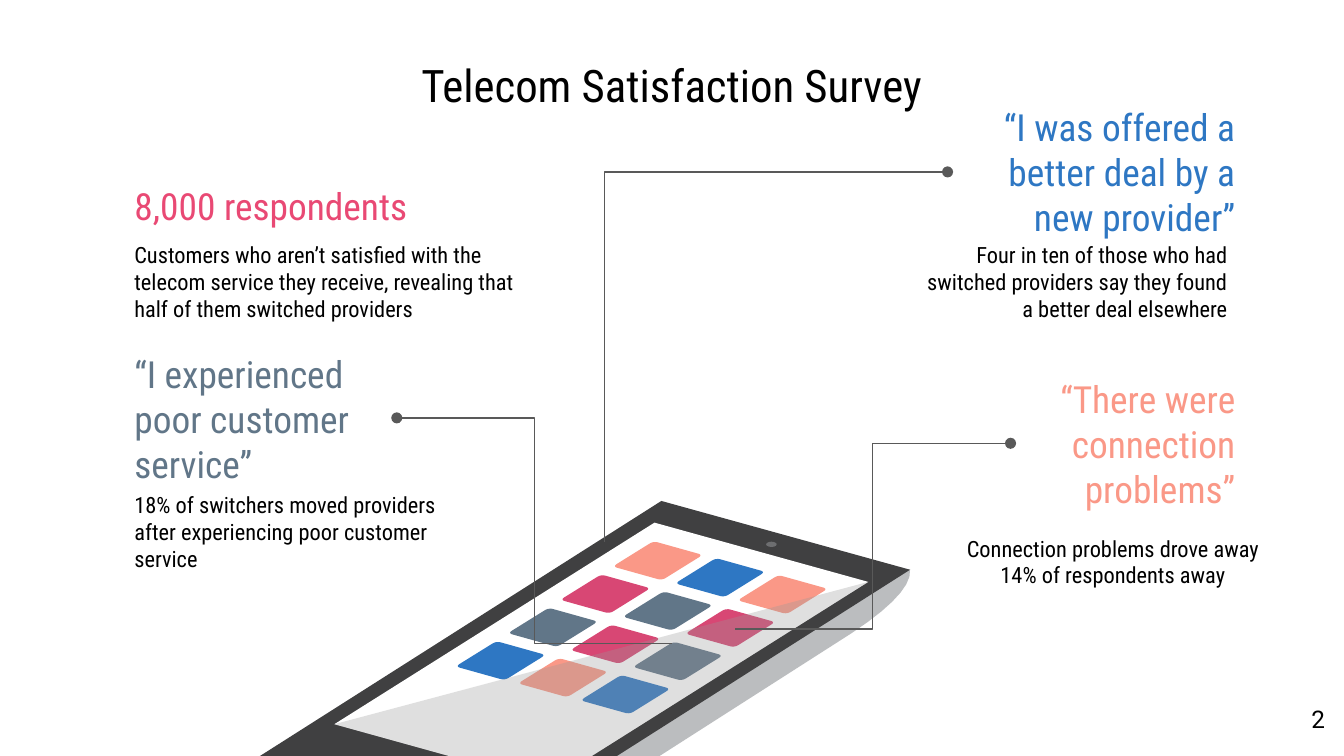
from dataclasses import dataclass

from lxml import etree
from pptx import Presentation
from pptx.dml.color import RGBColor
from pptx.enum.shapes import MSO_CONNECTOR, MSO_SHAPE
from pptx.enum.text import MSO_ANCHOR, MSO_AUTO_SIZE, PP_ALIGN
from pptx.oxml.ns import qn
from pptx.util import Cm, Pt

BLACK = RGBColor(0x00, 0x00, 0x00)
WHITE = RGBColor(0xFF, 0xFF, 0xFF)
PINK = RGBColor(0xE9, 0x49, 0x74)
ROSE = RGBColor(0xD8, 0x47, 0x74)
BLUE = RGBColor(0x2E, 0x77, 0xC3)
SLATE = RGBColor(0x61, 0x76, 0x88)
SALMON = RGBColor(0xFA, 0x98, 0x87)
CASE = RGBColor(0x40, 0x40, 0x41)
CASE_SIDE = RGBColor(0xBB, 0xBD, 0xBF)
CAMERA = RGBColor(0x6D, 0x6E, 0x70)
GLARE = RGBColor(0x99, 0x99, 0x99)
LINE = RGBColor(0x59, 0x59, 0x59)

LEFT, CENTER, RIGHT = PP_ALIGN.LEFT, PP_ALIGN.CENTER, PP_ALIGN.RIGHT
TOP, MIDDLE = MSO_ANCHOR.TOP, MSO_ANCHOR.MIDDLE
NO_AUTOFIT = MSO_AUTO_SIZE.NONE
ELBOW = MSO_CONNECTOR.ELBOW
OVAL = MSO_SHAPE.OVAL
FONT = "Roboto Condensed"
TITLE_ONLY = 5


@dataclass
class Box:
    """An area on the slide, in centimetres."""
    left: float
    top: float
    width: float
    height: float

    def inside(self, left, top, width, height):
        return Box(self.left + left, self.top + top, width, height)

    def lengths(self):
        return [Cm(v) for v in (self.left, self.top, self.width, self.height)]


def write(shape, text, size, color, align, anchor=MIDDLE, font=FONT):
    frame = shape.text_frame
    frame.word_wrap = True
    frame.auto_size = NO_AUTOFIT
    frame.vertical_anchor = anchor
    paragraph = frame.paragraphs[0]
    paragraph.alignment = align
    run = paragraph.add_run()
    run.text = text
    run.font.size = Pt(size)
    run.font.name = font
    run.font.color.rgb = color


def add_text(slide, box, *style, **options):
    write(slide.shapes.add_textbox(*box.lengths()), *style, **options)


def paint(shape, color):
    shape.fill.solid()
    shape.fill.fore_color.rgb = color
    shape.line.fill.background()
    shape.shadow.inherit = False
    return shape


def add_outline(slide, box, points, color):
    """Draw a closed outline; its points count from the corner of the box."""
    corners = [(Cm(box.left + x), Cm(box.top + y)) for x, y in points]
    builder = slide.shapes.build_freeform(*corners[0], scale=1.0)
    builder.add_line_segments(corners[1:], close=True)
    return paint(builder.convert_to_shape(), color)


def between(start, end, share):
    return tuple(a + (b - a) * share for a, b in zip(start, end))


def curve(start, control, end, steps=8):
    """Points along a quadratic curve."""
    return [between(between(start, control, i / steps),
                    between(control, end, i / steps), i / steps)
            for i in range(steps + 1)]


def rounded(corners, cut=0.1):
    points = []
    for i, corner in enumerate(corners):
        before, after = corners[i - 1], corners[(i + 1) % len(corners)]
        points += curve(between(corner, before, cut), corner,
                        between(corner, after, cut))
    return points


def add_title(slide, box):
    title = slide.shapes.title
    title.left, title.top, title.width, title.height = box.lengths()
    write(title, "Telecom Satisfaction Survey", 24, BLACK, CENTER)


def add_phone(slide, box):
    # Case: thick side with a rounded corner, then the front
    right = (box.width, 1.3)
    side = [(7.8, 0.72), (0, 4.83), (3.79, 6.41), (5.41, 6.2), (10.85, 2.72)]
    side += curve((10.85, 2.72), (12.35, 1.8), right)
    add_outline(slide, box, side, CASE_SIDE)
    add_outline(slide, box, [(7.6, 0), (0, 4.83), (4.7, 6.13), right], CASE)

    # Screen and camera
    screen_top, screen_left = (7.47, 0.41), (1.42, 4.22)
    screen_bottom, screen_right = (5.46, 5.34), (11.51, 1.53)
    add_outline(slide, box,
                [screen_top, screen_left, screen_bottom, screen_right], WHITE)
    camera = box.inside(9.58, 0.77, 0.2, 0.1)
    paint(slide.shapes.add_shape(OVAL, *camera.lengths()), CAMERA)

    # App icons on a slanted grid
    icon = rounded([(0.72, -0.03), (1.65, 0.23), (0.88, 0.71), (-0.05, 0.45)])
    icon_rows = [(SALMON, BLUE, SALMON), (ROSE, SLATE, ROSE),
                 (SLATE, ROSE, SLATE), (BLUE, SALMON, BLUE)]
    for row, colors in enumerate(icon_rows):
        for column, color in enumerate(colors):
            cell = box.inside(6.73 + 1.18 * column - 0.99 * row,
                              0.79 + 0.32 * column + 0.63 * row, 1.6, 0.7)
            add_outline(slide, cell, icon, color)

    # Translucent glare over the lower half of the screen
    glare = add_outline(slide, box,
                        [screen_right, screen_left, screen_bottom], GLARE)
    color = glare.fill._xPr.find(qn("a:solidFill"))[0]
    etree.SubElement(color, qn("a:alpha"), val="31000")


def add_callout(slide, box, heading, color, caption, caption_box, align,
                caption_align):
    """Heading fills the box; the caption is offset from its corner."""
    add_text(slide, box.inside(*caption_box), caption, 12, BLACK, caption_align)
    add_text(slide, box, heading, 20, color, align)


def add_leader(slide, dot, end, preset="bentConnector3"):
    """Elbow line from a round dot beside a callout to the phone."""
    connector = slide.shapes.add_connector(
        ELBOW, *[Cm(value) for value in (*dot, *end)])
    connector.line.color.rgb = LINE
    connector.line.width = Pt(0.75)
    properties = connector._element.spPr
    properties.find(qn("a:prstGeom")).set("prst", preset)
    etree.SubElement(connector.line._get_or_add_ln(), qn("a:headEnd"),
                     type="oval")
    etree.SubElement(properties, qn("a:effectLst"))


def main():
    presentation = Presentation()
    presentation.slide_width, presentation.slide_height = Cm(25.4), Cm(14.29)
    slide = presentation.slides.add_slide(
        presentation.slide_layouts[TITLE_ONLY])

    add_title(slide, Box(5.9, 1.07, 13.59, 1.07))
    add_phone(slide, Box(4.9, 9.47, 12.3, 6.53))

    callouts = [
        (Box(2.29, 3.45, 6.91, 0.86), "8,000 respondents", PINK,
         "Customers who aren’t satisfied with the telecom service they "
         "receive, revealing that half of them switched providers",
         (0, 1.15, 7.98, 1.45), LEFT, LEFT),
        (Box(2.29, 7.19, 5.23, 1.45),
         "“I experienced poor customer service”", SLATE,
         "18% of switchers moved providers after experiencing poor "
         "customer service", (0, 1.9, 6.25, 1.93), LEFT, LEFT),
        (Box(17.91, 1.68, 5.69, 3.12),
         "“I was offered a better deal by a new provider”", BLUE,
         "Four in ten of those who had switched providers say they found "
         "a better deal elsewhere", (-0.71, 2.92, 6.25, 1.45), RIGHT, RIGHT),
        (Box(19.1, 7.29, 4.5, 2.18),
         "“There were connection problems”", SALMON,
         "Connection problems drove away 14% of respondents away",
         (-1.19, 2.36, 6.25, 1.93), RIGHT, CENTER),
    ]
    for callout in callouts:
        add_callout(slide, *callout)

    add_leader(slide, (7.5, 7.9), (12.7, 12.17))
    add_leader(slide, (17.91, 3.25), (11.43, 10.24), "bentConnector2")
    add_leader(slide, (19.1, 8.38), (13.89, 11.89))

    # Page number
    add_text(slide, Box(23.77, 13.18, 1.52, 1.09), "2", 13, BLACK, RIGHT,
             anchor=TOP, font="Roboto")
    presentation.save("out.pptx")


if __name__ == "__main__":
    main()
